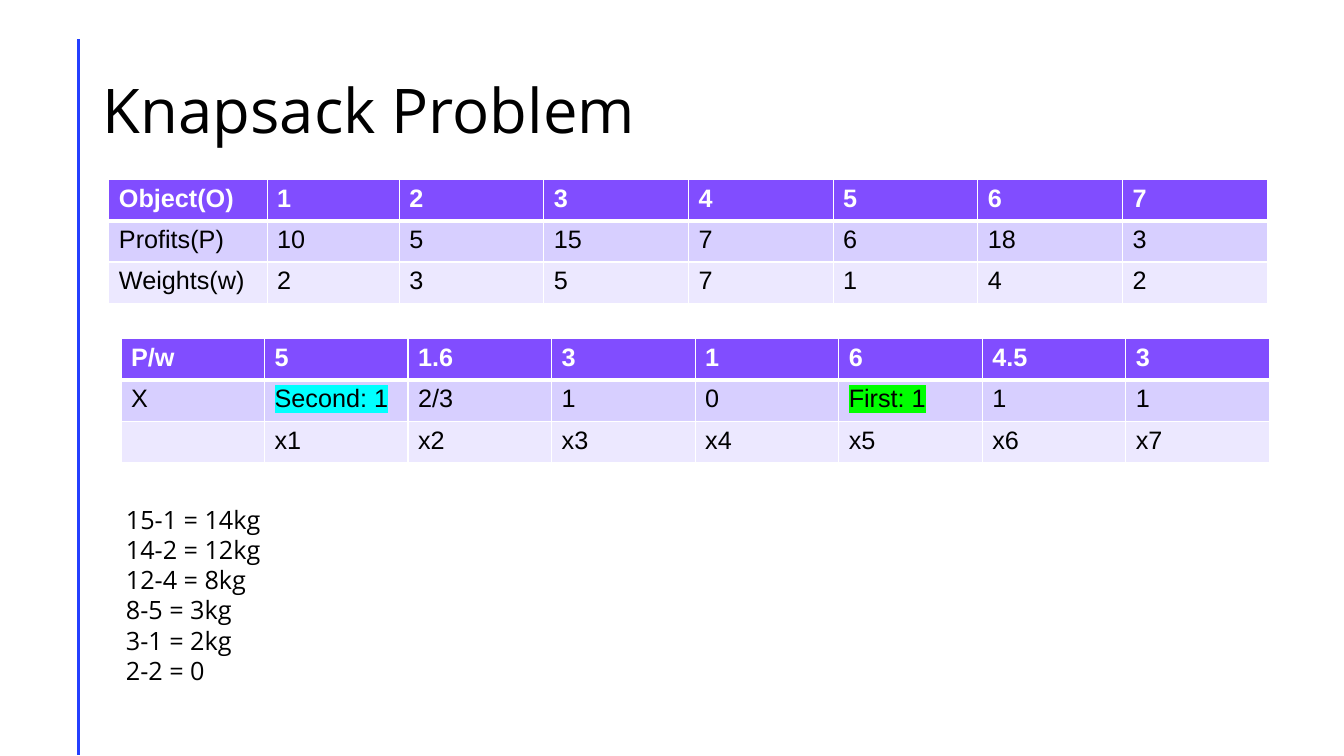
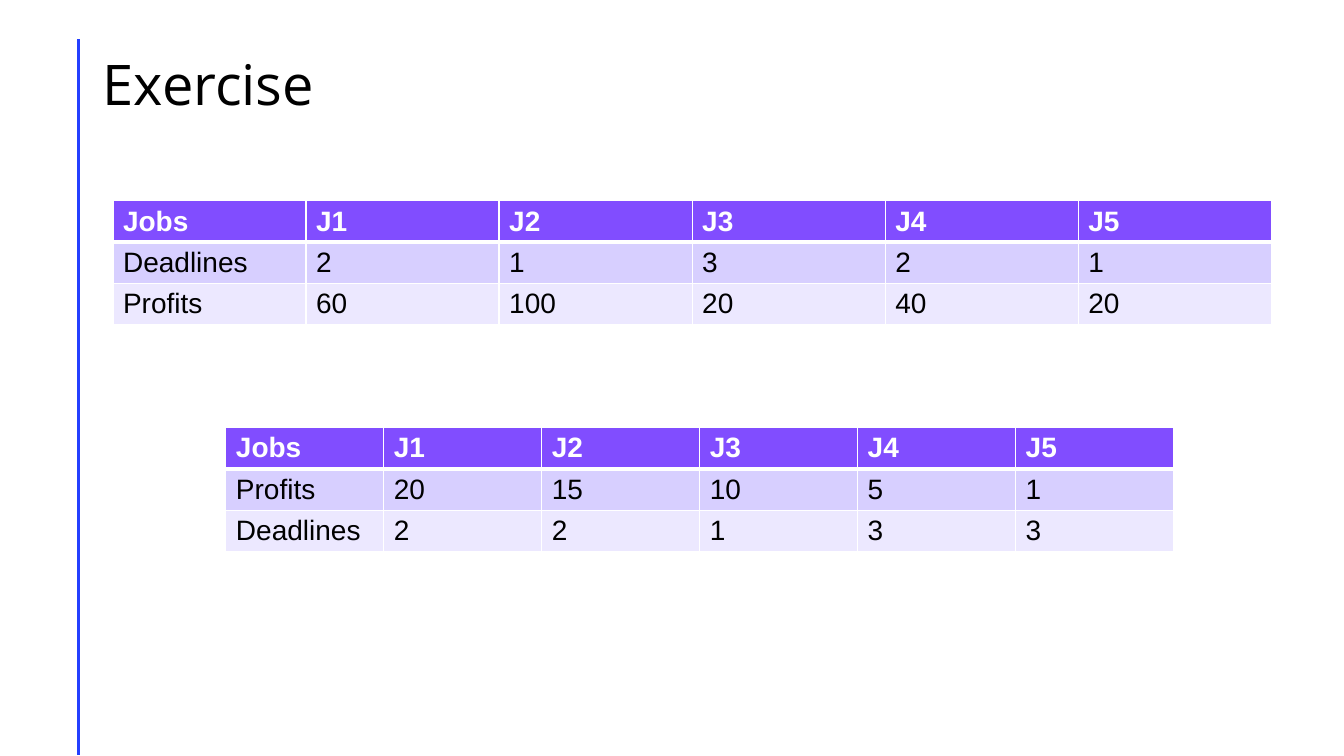
from dataclasses import dataclass

from lxml.etree import SubElement
from pptx import Presentation
from pptx.dml.color import RGBColor
from pptx.enum.shapes import MSO_CONNECTOR
from pptx.enum.text import MSO_ANCHOR, MSO_AUTO_SIZE, PP_ALIGN
from pptx.oxml import parse_xml
from pptx.oxml.ns import nsdecls, qn
from pptx.util import Inches, Pt


@dataclass(frozen=True)
class Theme:
    accent: str = "243FFF"
    header: str = "814DFF"
    bands: tuple = ("D7CFFF", "ECE8FF")
    white: str = "FFFFFF"
    black: str = "000000"
    cyan: str = "00FFFF"
    green: str = "00FF00"
    heading_font: str = "Open Sans"
    table_font: str = "Arial"
    title_size: int = 44
    small_title_size: int = 40
    body_size: int = 18
    large_table_size: int = 20
    thin: int = 1
    thick: int = 3
    rule: int = 2


@dataclass(frozen=True)
class Box:
    left: float
    top: float
    width: float
    height: float

    def lengths(self):
        return [Inches(value) for value in (self.left, self.top, self.width, self.height)]


THEME = Theme()
TITLE_ONLY = 5
ROW_HEIGHT = 0.41


def write_text(paragraph, text, font, size, color=THEME.black, bold=False, highlight=None, spacing=None):
    paragraph.alignment = PP_ALIGN.LEFT
    if spacing:
        paragraph.line_spacing = spacing
    run = paragraph.add_run()
    run.text = text
    run.font.name = font
    run.font.size = Pt(size)
    run.font.bold = bold
    run.font.color.rgb = RGBColor.from_string(color)
    if highlight:
        fill = run.font._element.find(qn("a:solidFill"))
        fill.addnext(parse_xml(
            f'<a:highlight {nsdecls("a")}><a:srgbClr val="{highlight}"/></a:highlight>'
        ))


def add_side_rule(slide):
    line = slide.shapes.add_connector(
        MSO_CONNECTOR.STRAIGHT, Inches(0.78), Inches(0.39), Inches(0.78), Inches(7.49)
    )
    line.line.color.rgb = RGBColor.from_string(THEME.accent)
    line.line.width = Pt(THEME.rule)
    SubElement(line.element.spPr, qn("a:effectLst"))


def add_titled_slide(presentation, title, box, size):
    slide = presentation.slides.add_slide(presentation.slide_layouts[TITLE_ONLY])
    add_side_rule(slide)
    shape = slide.shapes.title
    shape.left, shape.top, shape.width, shape.height = box.lengths()
    frame = shape.text_frame
    frame.auto_size = MSO_AUTO_SIZE.NONE
    frame.vertical_anchor = MSO_ANCHOR.MIDDLE
    write_text(frame.paragraphs[0], title, font=THEME.heading_font, size=size, spacing=0.9)
    return slide


def set_borders(cell, top, bottom):
    properties = cell._tc.get_or_add_tcPr()
    widths = {"lnL": THEME.thin, "lnR": THEME.thin, "lnT": top, "lnB": bottom}
    for index, (side, width) in enumerate(widths.items()):
        properties.insert(index, parse_xml(
            f'<a:{side} {nsdecls("a")} w="{Pt(width)}"><a:solidFill>'
            f'<a:srgbClr val="{THEME.white}"/></a:solidFill></a:{side}>'
        ))


def add_data_table(slide, box, rows, size, first_widths=(), highlights=None):
    highlights = highlights or {}
    column_count = len(rows[0])
    shape = slide.shapes.add_table(len(rows), column_count, *box.lengths())
    table = shape.table
    even_width = (box.width - sum(first_widths)) / (column_count - len(first_widths))
    widths = list(first_widths) + [even_width] * (column_count - len(first_widths))
    for column, width in zip(table.columns, widths):
        column.width = Inches(width)
    for row_index, values in enumerate(rows):
        table.rows[row_index].height = Inches(ROW_HEIGHT)
        is_header = row_index == 0
        fill = THEME.header if is_header else THEME.bands[(row_index - 1) % 2]
        for column_index, text in enumerate(values):
            cell = table.cell(row_index, column_index)
            cell.fill.solid()
            cell.fill.fore_color.rgb = RGBColor.from_string(fill)
            set_borders(
                cell,
                top=THEME.thick if row_index == 1 else THEME.thin,
                bottom=THEME.thick if is_header else THEME.thin,
            )
            if text:
                write_text(
                    cell.text_frame.paragraphs[0], text, font=THEME.table_font, size=size,
                    color=THEME.white if is_header else THEME.black, bold=is_header,
                    highlight=highlights.get(text),
                )


def add_lines(slide, box, lines):
    frame = slide.shapes.add_textbox(*box.lengths()).text_frame
    frame.word_wrap = True
    frame.auto_size = MSO_AUTO_SIZE.SHAPE_TO_FIT_TEXT
    for index, line in enumerate(lines):
        paragraph = frame.add_paragraph() if index else frame.paragraphs[0]
        write_text(paragraph, line, font=THEME.heading_font, size=THEME.body_size)


def build_knapsack_slide(presentation):
    slide = add_titled_slide(
        presentation, "Knapsack Problem", Box(0.92, 0.4, 11.5, 1.45), THEME.title_size
    )
    ratios = [
        ["P/w", "5", "1.6", "3", "1", "6", "4.5", "3"],
        ["X", "Second: 1", "2/3", "1", "0", "First: 1", "1", "1"],
        [""] + [f"x{number}" for number in range(1, 8)],
    ]
    add_data_table(
        slide, Box(1.2, 3.36, 11.39, 3 * ROW_HEIGHT), ratios, THEME.body_size,
        highlights={"Second: 1": THEME.cyan, "First: 1": THEME.green},
    )
    add_lines(slide, Box(1.15, 4.95, 11.22, 1.92), [
        "15-1 = 14kg", "14-2 = 12kg", "12-4 = 8kg", "8-5 = 3kg", "3-1 = 2kg", "2-2 = 0",
    ])
    objects = [
        ["Object(O)"] + [str(number) for number in range(1, 8)],
        ["Profits(P)", "10", "5", "15", "7", "6", "18", "3"],
        ["Weights(w)", "2", "3", "5", "7", "1", "4", "2"],
    ]
    add_data_table(
        slide, Box(1.08, 1.78, 11.49, 3 * ROW_HEIGHT), objects, THEME.body_size,
        first_widths=(1.57, 1.31),
    )


def build_exercise_slide(presentation):
    slide = add_titled_slide(
        presentation, "Exercise", Box(0.92, 0.4, 11.5, 0.93), THEME.small_title_size
    )
    header = ["Jobs"] + [f"J{number}" for number in range(1, 6)]
    first_jobs = [
        header,
        ["Deadlines", "2", "1", "3", "2", "1"],
        ["Profits", "60", "100", "20", "40", "20"],
    ]
    second_jobs = [
        header,
        ["Profits", "20", "15", "10", "5", "1"],
        ["Deadlines", "2", "2", "1", "3", "3"],
    ]
    for box, rows in (
        (Box(1.12, 1.99, 11.49, 3 * ROW_HEIGHT), first_jobs),
        (Box(2.24, 4.24, 9.4, 3 * ROW_HEIGHT), second_jobs),
    ):
        add_data_table(slide, box, rows, THEME.large_table_size)


def main():
    presentation = Presentation()
    presentation.slide_width = Inches(13.33)
    presentation.slide_height = Inches(7.5)
    build_knapsack_slide(presentation)
    build_exercise_slide(presentation)
    presentation.save("out.pptx")


if __name__ == "__main__":
    main()
